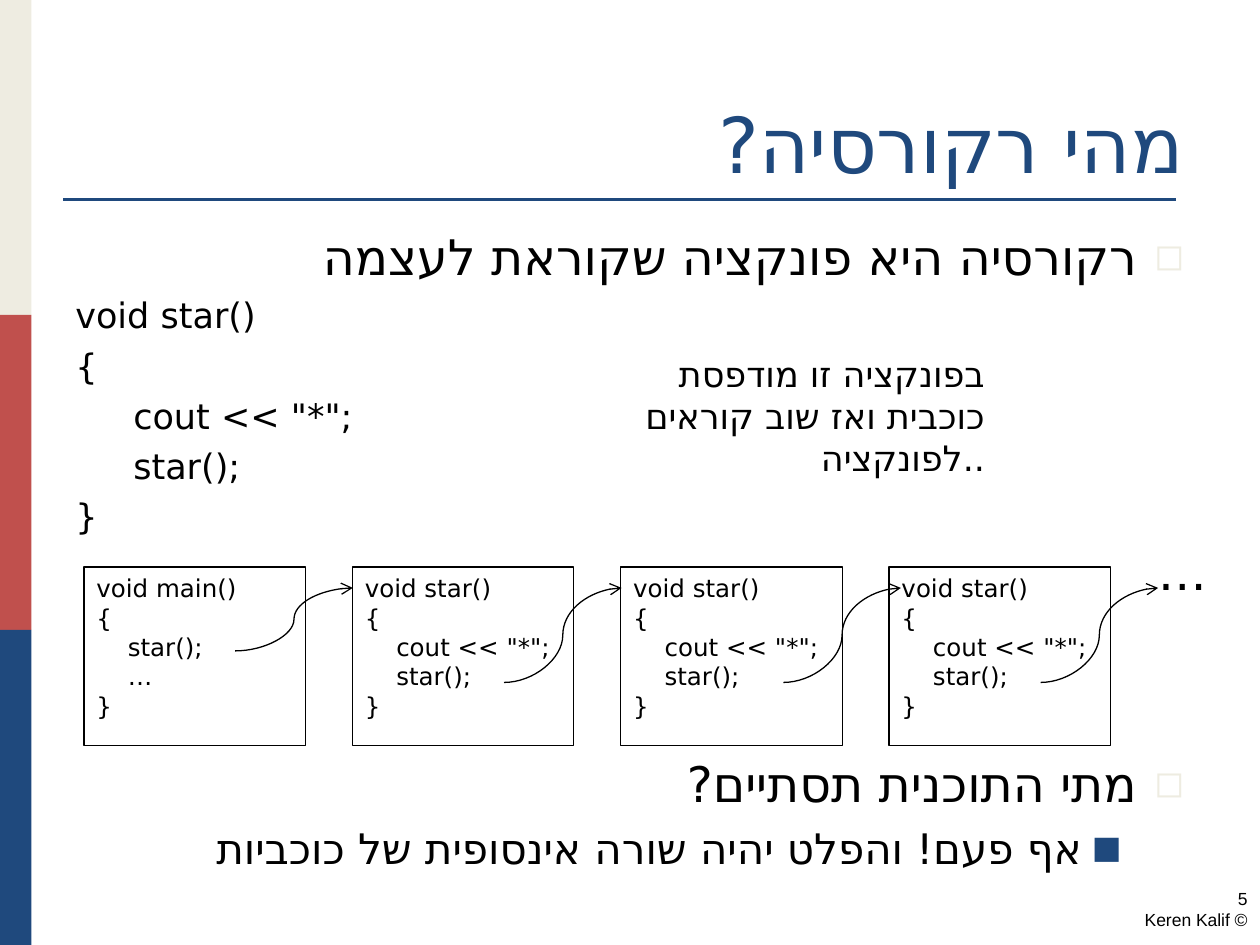
from dataclasses import dataclass

from lxml.etree import SubElement
from pptx import Presentation
from pptx.dml.color import RGBColor
from pptx.enum.shapes import MSO_CONNECTOR, MSO_SHAPE
from pptx.enum.text import MSO_ANCHOR, PP_ALIGN
from pptx.oxml.ns import qn
from pptx.util import Inches, Pt

COLUMNS, ROWS = 120, 90


@dataclass(frozen=True)
class Theme:
    cream: str = "EEECE1"
    red: str = "C0504D"
    navy: str = "1F497D"
    ink: str = "000000"
    heading_font: str = "Times New Roman"
    body_font: str = "DejaVu Sans"
    footer_font: str = "Arial"
    title: int = 44
    point: int = 28
    answer: int = 24
    code: int = 20
    frame: int = 14
    footer: int = 10


@dataclass(frozen=True)
class Area:
    column: float
    row: float
    columns: float
    rows: float


@dataclass(frozen=True)
class Bullet:
    mark: str
    color: str


@dataclass(frozen=True)
class Line:
    text: str
    size: int
    font: str = "DejaVu Sans"
    color: str = "000000"
    right: bool = False
    rtl: bool = False
    margin: float = 0
    hanging: float = 0
    before: float = 0
    bullet: Bullet | None = None


@dataclass(frozen=True)
class Call:
    column: float
    row: float
    end_column: float


THEME = Theme()
deck = Presentation()
deck.slide_width, deck.slide_height = Inches(10), Inches(7.5)
page = deck.slides.add_slide(deck.slide_layouts[5])


def across(columns: float) -> int:
    return round(deck.slide_width * columns / COLUMNS)


def down(rows: float) -> int:
    return round(deck.slide_height * rows / ROWS)


def bounds(area: Area) -> tuple[int, int, int, int]:
    return across(area.column), down(area.row), across(area.columns), down(area.rows)


def add_bullet(properties, bullet: Bullet) -> None:
    color = SubElement(properties, qn("a:buClr"))
    SubElement(color, qn("a:srgbClr"), val=bullet.color)
    SubElement(properties, qn("a:buSzPct"), val="75000")
    SubElement(properties, qn("a:buFont"), typeface=THEME.body_font)
    SubElement(properties, qn("a:buChar"), char=bullet.mark)


def write(frame, lines: list[Line], anchor=MSO_ANCHOR.TOP) -> None:
    frame.word_wrap = True
    frame.vertical_anchor = anchor
    for index, line in enumerate(lines):
        para = frame.add_paragraph() if index else frame.paragraphs[0]
        para.alignment = PP_ALIGN.RIGHT if line.right else PP_ALIGN.LEFT
        para.space_before = Pt(line.before)
        properties = para._p.get_or_add_pPr()
        properties.set("marL", str(Inches(line.margin)))
        properties.set("indent", str(-Inches(line.hanging)))
        properties.set("rtl", str(int(line.rtl)))
        if line.bullet:
            add_bullet(properties, line.bullet)
        span = para.add_run()
        span.text = line.text
        span.font.size = Pt(line.size)
        span.font.name = line.font
        span.font.color.rgb = RGBColor.from_string(line.color)
        script_font = THEME.body_font if line.font == THEME.heading_font else line.font
        SubElement(span._r.get_or_add_rPr(), qn("a:cs"), typeface=script_font)


def add_text(area: Area, lines: list[Line]) -> None:
    write(page.shapes.add_textbox(*bounds(area)).text_frame, lines)


def add_bar(area: Area, color: str) -> None:
    bar = page.shapes.add_shape(MSO_SHAPE.RECTANGLE, *bounds(area))
    bar.shadow.inherit = False
    bar.fill.solid()
    bar.fill.fore_color.rgb = RGBColor.from_string(color)
    bar.line.fill.background()


def add_line(kind, start: tuple, end: tuple, color: str, width: float):
    line = page.shapes.add_connector(
        kind, across(start[0]), down(start[1]), across(end[0]), down(end[1])
    )
    line.line.color.rgb = RGBColor.from_string(color)
    line.line.width = Pt(width)
    SubElement(line._element.spPr, qn("a:effectLst"))
    return line


def add_call(call: Call) -> None:
    arrow = add_line(
        MSO_CONNECTOR.CURVE, (call.column, call.row), (call.end_column, 56), THEME.ink, 0.75
    )
    SubElement(arrow.line._get_or_add_ln(), qn("a:tailEnd"), type="arrow")


def add_frame(area: Area, name: str, statements: list[str]) -> None:
    box = page.shapes.add_shape(MSO_SHAPE.RECTANGLE, *bounds(area))
    box.shadow.inherit = False
    box.fill.background()
    box.line.color.rgb = RGBColor.from_string(THEME.ink)
    box.line.width = Pt(0.75)
    write(box.text_frame, code_lines(name, statements, THEME.frame, 0.25, 0))


def code_lines(
    name: str, statements: list[str], size: int, margin: float, before: float
) -> list[Line]:
    body = [Line(text, size, margin=margin, before=before) for text in statements]
    head, opening, closing = (
        Line(text, size, before=before) for text in (f"void {name}()", "{", "}")
    )
    return [head, opening, *body, closing]


def point(text: str, before: float) -> Line:
    return Line(text, THEME.point, right=True, rtl=True, margin=0.38, hanging=0.38,
                before=before, bullet=Bullet("◻", THEME.cream))


def main() -> None:
    for index, color in enumerate((THEME.cream, THEME.red, THEME.navy)):
        add_bar(Area(0, index * ROWS / 3, 3, ROWS / 3), color)
    add_line(MSO_CONNECTOR.STRAIGHT, (6, 19), (112, 19), THEME.navy, 1.5)

    title = page.shapes.title
    title.left, title.top, title.width, title.height = bounds(Area(6, 3.6, 108, 15))
    write(title.text_frame, [Line("מהי רקורסיה?", THEME.title, THEME.heading_font,
                                  THEME.navy, right=True, rtl=True)], MSO_ANCHOR.BOTTOM)

    star = ['cout << "*";', "star();"]
    add_text(Area(6, 21, 108, 59.4), [
        point("רקורסיה היא פונקציה שקוראת לעצמה", 6.5),
        *code_lines("star", star, THEME.code, 0.46, 4.7),
        point("מתי התוכנית תסתיים?", 124),
        Line("אף פעם! והפלט יהיה שורה אינסופית של כוכביות", THEME.answer, right=True,
             rtl=True, margin=0.81, hanging=0.31, before=5.6,
             bullet=Bullet("■", THEME.navy)),
    ])
    add_text(Area(54, 33, 41, 13), [
        Line("בפונקציה זו מודפסת כוכבית ואז שוב קוראים לפונקציה..", THEME.code, right=True)
    ])

    frames = [("main", ["star();", "…"])] + [("star", star)] * 3
    for index, (name, statements) in enumerate(frames):
        add_frame(Area(8 + index * 25.56, 54, 21.1, 17), name, statements)
    for call in (Call(22.4, 62, 33.6), Call(48, 65, 59.2),
                 Call(74.6, 65, 85.8), Call(99.1, 65, 110.3)):
        add_call(call)
    add_text(Area(109.1, 51, 8.9, 6.8), [Line("…", THEME.point)])
    add_text(Area(92, 84, 28, 6), [
        Line(text, THEME.footer, THEME.footer_font, right=True, rtl=True)
        for text in ("5", "© Keren Kalif")
    ])
    deck.save("out.pptx")


if __name__ == "__main__":
    main()
